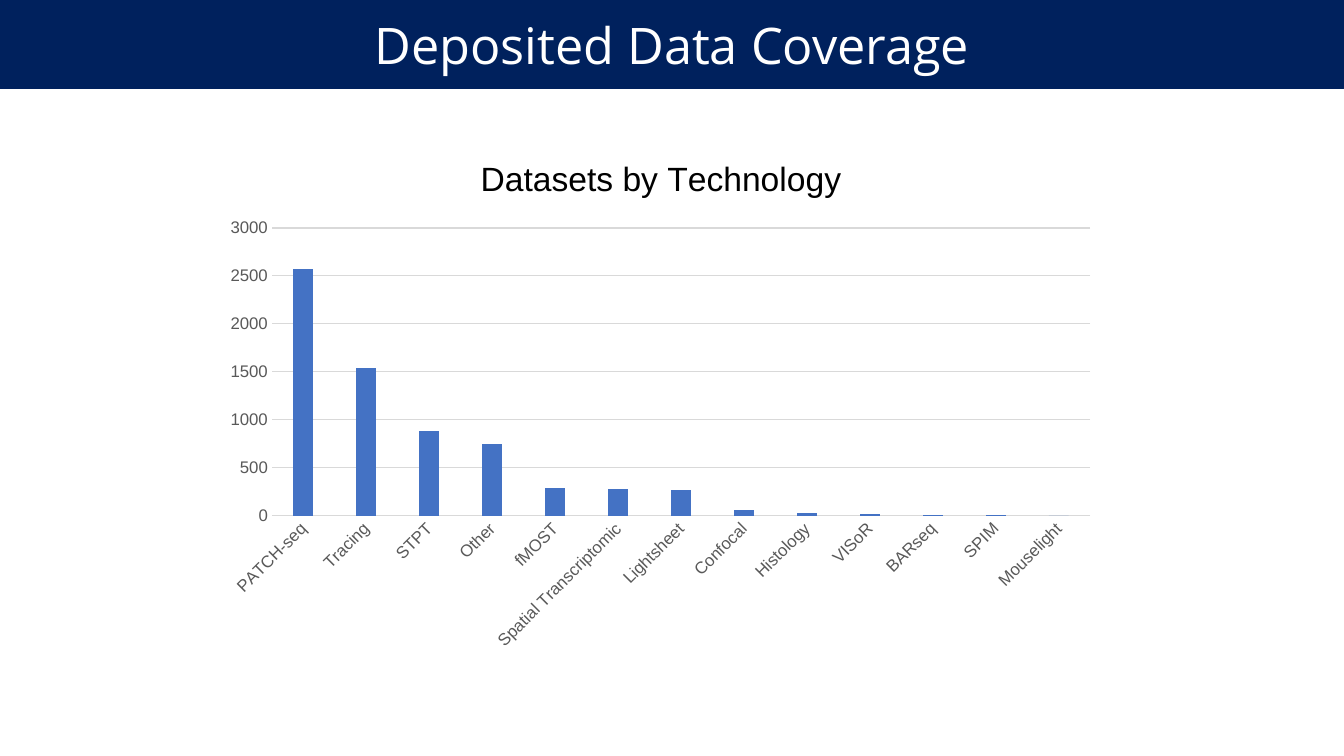
from lxml import etree
from pptx import Presentation
from pptx.chart.data import CategoryChartData as Data
from pptx.dml.color import RGBColor as RGB
from pptx.enum.chart import XL_CHART_TYPE as Kind, XL_TICK_MARK as Tick
from pptx.enum.text import MSO_ANCHOR as Anchor, MSO_AUTO_SIZE as Auto, PP_ALIGN as Align
from pptx.oxml.ns import qn
from pptx.util import Inches, Pt

HUES = {"navy": "00215D", "white": "FFFFFF", "black": "000000",
        "gray": "595959", "grid": "D9D9D9", "bar": "4472C4"}

COUNTS = {"PATCH-seq": 2570, "Tracing": 1540, "STPT": 880, "Other": 750,
          "fMOST": 290, "Spatial Transcriptomic": 280, "Lightsheet": 270,
          "Confocal": 60, "Histology": 30, "VISoR": 20, "BARseq": 10,
          "SPIM": 10, "Mouselight": 0}


def hue(name):
    return RGB.from_string(HUES[name])


def style(font, size, color, face="Arial"):
    font.size, font.name, font.bold = Pt(size), face, False
    font.color.rgb = hue(color)


def write(frame, text, size=12, color="black", face="Arial", align=Align.CENTER):
    """Put one formatted paragraph into a text frame."""
    para = frame.paragraphs[0]
    para.alignment = align
    run = para.add_run()
    run.text = text
    style(run.font, size, color, face)


class Deck:
    def __init__(self):
        self.prs = Presentation()
        self.prs.slide_width, self.prs.slide_height = Inches(13.33), Inches(7.5)
        self.slide = self.prs.slides.add_slide(self.prs.slide_layouts[5])

    def line(self, line, color):
        line.color.rgb = hue(color)
        line.width = Pt(0.75)

    def title(self, text, height):
        band = self.slide.shapes.title
        band.left, band.top = Inches(0), Inches(0)
        band.width, band.height = self.prs.slide_width, Inches(height)
        band.fill.solid()
        band.fill.fore_color.rgb = hue("navy")
        self.line(band.line, "navy")
        frame = band.text_frame
        frame.auto_size, frame.word_wrap = Auto.NONE, True
        frame.vertical_anchor = Anchor.MIDDLE
        frame.margin_left = frame.margin_right = Inches(0.1)
        frame.margin_top = frame.margin_bottom = Inches(0.1)
        write(frame, text, size=36, color="white", face="Open Sans")

    def axis(self, axis):
        axis.major_tick_mark = axis.minor_tick_mark = Tick.NONE
        style(axis.tick_labels.font, 12, "gray")

    def place(self, chart, **area):
        """Fix the inner plot area as shares of the chart."""
        plot = chart._chartSpace.chart.plotArea
        for old in plot.findall(qn("c:layout")):
            plot.remove(old)
        layout = etree.Element(qn("c:layout"))
        plot.insert(0, layout)
        manual = etree.SubElement(layout, qn("c:manualLayout"))
        parts = {"layoutTarget": "inner", "xMode": "edge", "yMode": "edge", **area}
        for tag, val in parts.items():
            etree.SubElement(manual, qn("c:" + tag)).set("val", str(val))

    def bars(self, text, counts, left, top, width, height):
        data = Data()
        data.categories = list(counts)
        data.add_series("Series 1", list(counts.values()))
        chart = self.slide.shapes.add_chart(
            Kind.COLUMN_CLUSTERED, Inches(left), Inches(top),
            Inches(width), Inches(height), data).chart
        style(chart.font, 10, "black")
        chart.has_legend = False
        chart.has_title = True
        write(chart.chart_title.text_frame, text, size=24)
        chart.chart_title.include_in_layout = False

        # Columns
        plot = chart.plots[0]
        plot.gap_width, plot.overlap = 219, -27
        plot.vary_by_categories = False
        fill = plot.series[0].format.fill
        fill.solid()
        fill.fore_color.rgb = hue("bar")

        # Axes
        cat, val = chart.category_axis, chart.value_axis
        self.axis(cat)
        self.axis(val)
        self.line(cat.format.line, "grid")
        cat._element.txPr.find(qn("a:bodyPr")).set("rot", str(-45 * 60000))
        val.format.line.fill.background()
        val.minimum_scale, val.maximum_scale, val.major_unit = 0, 3000, 500
        val.has_major_gridlines = True
        self.line(val.major_gridlines.format.line, "grid")
        self.place(chart, x=0.066, y=0.177, w=0.913, h=0.548)


def main():
    deck = Deck()
    # Title band
    deck.title("Deposited Data Coverage", 0.88)
    # Column chart
    deck.bars("Datasets by Technology", COUNTS, 2.11, 1.34, 8.89, 5.21)
    deck.prs.save("out.pptx")


if __name__ == "__main__":
    main()
